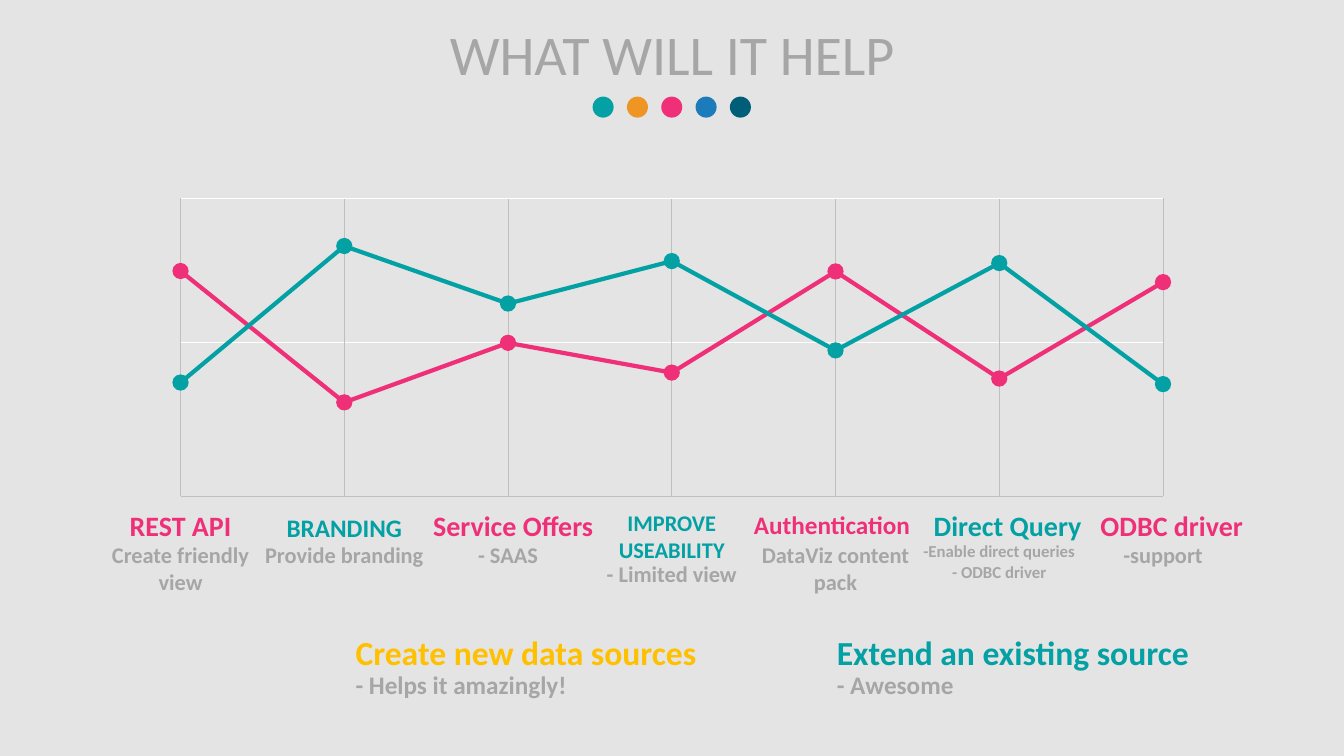
from dataclasses import dataclass
from itertools import pairwise

from lxml import etree
from pptx import Presentation
from pptx import util as u
from pptx.dml.color import RGBColor
from pptx.enum import shapes, text
from pptx.oxml.ns import qn

TEAL, PINK, GREY, WHITE = "03A1A4", "EF3078", "A6A6A6", "FFFFFF"
GRID_GREY, YELLOW = "BFBFBF", "FFC000"
FONT = "Calibri"

# Chart area, in centimetres
LEFT, RIGHT, TOP, MIDDLE, BOTTOM = 4.55, 29.31, 5.0, 8.64, 12.5
COLUMNS = [LEFT + i * (RIGHT - LEFT) / 6 for i in range(7)]
DETAIL_WIDTH = 4.6


@dataclass
class Label:
    words: str
    left: float
    top: float
    width: float
    size: int
    colour: str
    lines: int = 1
    bold: bool = True
    centred: bool = True


@dataclass
class Topic:
    heading: str
    size: int
    width: float
    detail: str
    shift: float = 0
    heading_top: float = 12.7
    heading_lines: int = 1
    detail_size: int = 16
    detail_top: float = 13.51
    detail_lines: int = 1


@dataclass
class Series:
    colour: str
    heights: list[float]


@dataclass
class Summary:
    heading: str
    detail: str
    left: float
    width: float
    colour: str


TOPICS = [
    Topic("REST API", 20, 3.76, "Create friendly view", detail_lines=2),
    Topic("BRANDING", 18, 3.76, "Provide branding", heading_top=12.78),
    Topic("Service Offers", 20, 4.98, "- SAAS", shift=0.13),
    Topic("IMPROVE USEABILITY", 16, 3.76, "- Limited view", heading_lines=2, detail_top=14.0),
    Topic("Authentication", 18, 4.6, "DataViz content pack", shift=-0.09, detail_lines=2),
    Topic("Direct Query", 20, 4.27, "-Enable direct queries\n- ODBC driver", shift=0.21,
          detail_size=12, detail_lines=2),
    Topic("ODBC driver", 20, 4.19, "-support", shift=0.22),
]
SERIES = [
    Series(PINK, [6.83, 10.14, 8.64, 9.39, 6.84, 9.54, 7.11]),
    Series(TEAL, [9.64, 6.2, 7.65, 6.58, 8.83, 6.63, 9.68]),
]
SUMMARIES = [
    Summary("Create new data sources", "- Helps it amazingly!", 8.71, 9.35, YELLOW),
    Summary("Extend an existing source", "- Awesome", 20.84, 10.26, TEAL),
]


def rgb(colour: str) -> RGBColor:
    return RGBColor.from_string(colour)


def add_label(slide, label: Label) -> None:
    height = label.lines * label.size * 1.2 * 2.54 / 72 + 0.254
    box = slide.shapes.add_textbox(u.Cm(label.left), u.Cm(label.top), u.Cm(label.width), u.Cm(height))
    frame = box.text_frame
    frame.word_wrap = True
    frame.auto_size = text.MSO_AUTO_SIZE.SHAPE_TO_FIT_TEXT
    for i, line in enumerate(label.words.split("\n")):
        paragraph = frame.add_paragraph() if i else frame.paragraphs[0]
        paragraph.alignment = text.PP_ALIGN.CENTER if label.centred else text.PP_ALIGN.LEFT
        run = paragraph.add_run()
        run.text = line
        run.font.name = FONT
        run.font.size = u.Pt(label.size)
        run.font.bold = label.bold
        run.font.color.rgb = rgb(label.colour)


def add_dot(slide, x: float, y: float, diameter: float, colour: str) -> None:
    """Draw a dot centred on x, y."""
    shape = slide.shapes.add_shape(
        shapes.MSO_SHAPE.OVAL, u.Cm(x - diameter / 2), u.Cm(y - diameter / 2),
        u.Cm(diameter), u.Cm(diameter))
    shape.shadow.inherit = False
    shape.fill.solid()
    shape.fill.fore_color.rgb = rgb(colour)
    shape.line.fill.background()


def add_line(slide, start: tuple[float, float], end: tuple[float, float],
             colour: str, width: float) -> None:
    connector = slide.shapes.add_connector(
        shapes.MSO_CONNECTOR.STRAIGHT, *(u.Cm(value) for value in (*start, *end)))
    connector.line.color.rgb = rgb(colour)
    connector.line.width = u.Pt(width)
    etree.SubElement(connector._element.spPr, qn("a:effectLst"))


def add_chart_lines(slide) -> None:
    # Grid
    for y, colour in ((BOTTOM, GRID_GREY), (MIDDLE, WHITE)):
        add_line(slide, (LEFT, y), (RIGHT, y), colour, 0.75)
    for x in COLUMNS:
        add_line(slide, (x, BOTTOM), (x, TOP), GRID_GREY, 0.75)
    add_line(slide, (LEFT, TOP), (RIGHT, TOP), WHITE, 0.75)

    # Lines first, so that the markers lie on top
    for series in SERIES:
        for start, end in pairwise(zip(COLUMNS, series.heights)):
            add_line(slide, start, end, series.colour, 3)
    for series in SERIES:
        for x, y in zip(COLUMNS, series.heights):
            add_dot(slide, x, y, 0.41, series.colour)


def main() -> None:
    presentation = Presentation()
    presentation.slide_width, presentation.slide_height = u.Cm(33.87), u.Cm(19.05)
    slide = presentation.slides.add_slide(presentation.slide_layouts[6])
    slide.background.fill.solid()
    slide.background.fill.fore_color.rgb = rgb("E4E4E4")

    # Title and its row of dots
    add_label(slide, Label("WHAT WILL IT HELP", 6.83, 0.36, 20.22, 40, GREY, bold=False))
    for i, colour in enumerate((TEAL, "EE9524", PINK, "1C7CBB", "005E79")):
        add_dot(slide, 15.2 + i * 0.865, 2.7, 0.53, colour)

    add_chart_lines(slide)

    # Topics under the columns, in alternating colours
    for i, (x, topic) in enumerate(zip(COLUMNS, TOPICS)):
        add_label(slide, Label(topic.heading, x + topic.shift - topic.width / 2, topic.heading_top,
                               topic.width, topic.size, TEAL if i % 2 else PINK, topic.heading_lines))
        add_label(slide, Label(topic.detail, x - DETAIL_WIDTH / 2, topic.detail_top,
                               DETAIL_WIDTH, topic.detail_size, GREY, topic.detail_lines))

    # Summaries at the foot
    for summary in SUMMARIES:
        add_label(slide, Label(summary.heading, summary.left, 15.8, summary.width, 24,
                               summary.colour, centred=False))
        add_label(slide, Label(summary.detail, summary.left, 16.74, 7.09, 18, GREY, centred=False))

    presentation.save("out.pptx")


if __name__ == "__main__":
    main()
